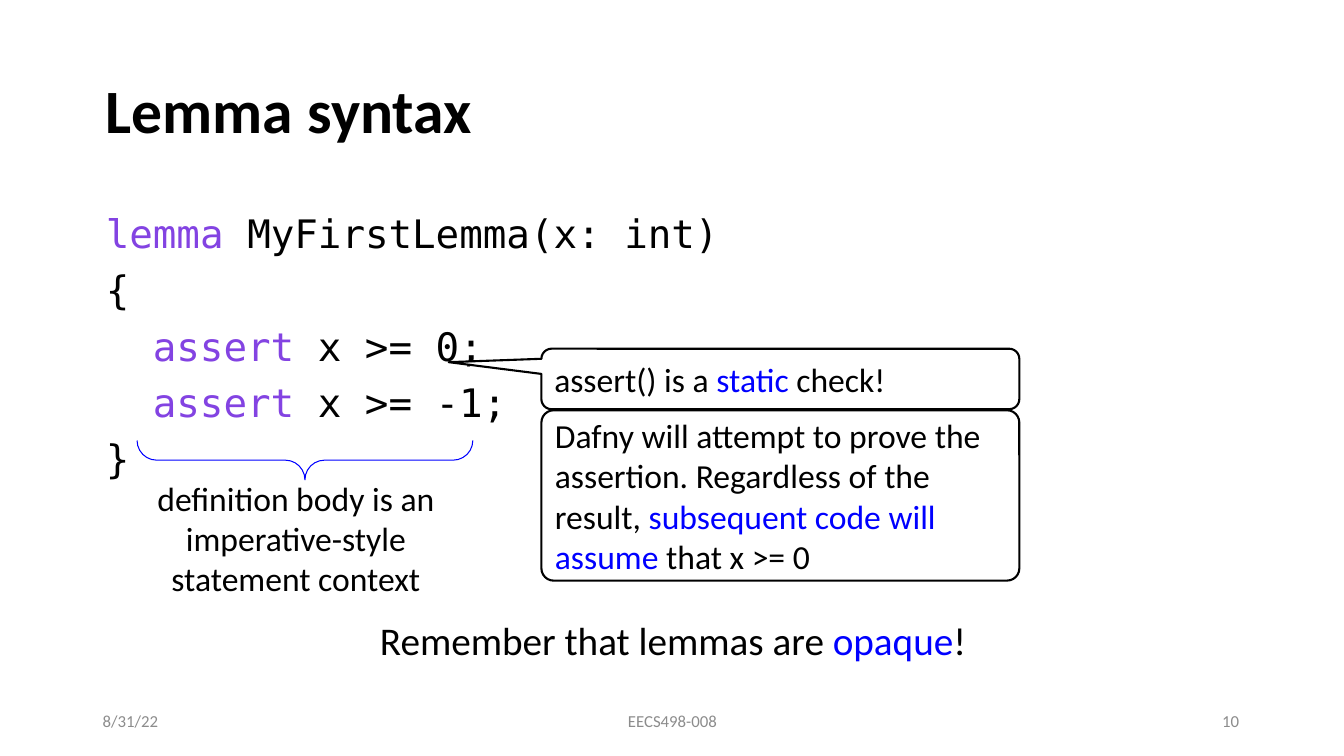
from pptx import Presentation, util as u
from pptx.dml.color import RGBColor
from pptx.enum import shapes, text
from pptx.oxml.xmlchemy import OxmlElement

BLACK, BLUE, PURPLE, GREY, WHITE = "000000", "0000FF", "8343E2", "8C8C8C", "FFFFFF"
SANS, MONO = "Calibri", "DejaVu Sans Mono"
LEFT, CENTER, RIGHT = text.PP_ALIGN.LEFT, text.PP_ALIGN.CENTER, text.PP_ALIGN.RIGHT
TOP, MIDDLE = text.MSO_ANCHOR.TOP, text.MSO_ANCHOR.MIDDLE
WIDE, NARROW = (0.13, 0.13), (0.1, 0.05)

deck = Presentation()
deck.slide_width, deck.slide_height = u.Inches(13.33), u.Inches(7.5)
slide = deck.slides.add_slide(deck.slide_layouts[6])
margin, content_width = 0.92, 11.5


def color(hex_string):
    """Return the colour for a hex string."""
    return RGBColor.from_string(hex_string)


def write(holder, lines, size, font=SANS, align=LEFT, anchor=MIDDLE,
          insets=NARROW, bold=False, wrap=True):
    """Fill a shape with lines of (words, colour) runs and return its paragraphs."""
    frame = holder.text_frame
    frame.word_wrap, frame.vertical_anchor = wrap, anchor
    frame.margin_left = frame.margin_right = u.Inches(insets[0])
    frame.margin_top = frame.margin_bottom = u.Inches(insets[1])
    for number, line in enumerate(lines):
        paragraph = frame.add_paragraph() if number else frame.paragraphs[0]
        paragraph.alignment = align
        for words, hue in line:
            run = paragraph.add_run()
            run.text = words
            run.font.name, run.font.size, run.font.bold = font, u.Pt(size), bold
            run.font.color.rgb = color(hue)
    return frame.paragraphs


# Title
title = slide.shapes.add_textbox(*map(u.Inches, (margin, 0.4, content_width, 1.45)))
write(title, [[("Lemma syntax", BLACK)]], 44, insets=WIDE, bold=True)[0].line_spacing = 0.9

# Lemma code, with the body indented by two characters
code = slide.shapes.add_textbox(*map(u.Inches, (margin, 2, content_width, 4.76)))
code_lines = [
    (0, [("lemma ", PURPLE), ("MyFirstLemma(x: int)", BLACK)]),
    (0, [("{", BLACK)]),
    (2, [("assert ", PURPLE), ("x >= 0;", BLACK)]),
    (2, [("assert", PURPLE), (" x >= -1;", BLACK)]),
    (0, [("}", BLACK)]),
]
code_paragraphs = write(code, [runs for _, runs in code_lines], 28, MONO,
                        anchor=TOP, insets=WIDE)
for paragraph, (indent, _) in zip(code_paragraphs, code_lines):
    paragraph.line_spacing, paragraph.space_before = 0.9, u.Pt(10)
    properties = paragraph._p.get_or_add_pPr()
    properties.set("marL", str(u.Pt(28 * 0.6 * indent)))
    properties.set("indent", "0")

# Footer
for left, width, words, align, insets in [
    (margin, 3, "8/31/22", LEFT, NARROW),
    (4.42, 4.5, "EECS498-008", CENTER, NARROW),
    (margin + content_width - 3, 3, "10", RIGHT, WIDE),
]:
    footer = slide.shapes.add_textbox(*map(u.Inches, (left, 6.95, width, 0.4)))
    write(footer, [[(words, GREY)]], 12, align=align, insets=insets)

# Remarks on assert, stacked in one column
for kind, top, height, adjustments, runs in [
    (shapes.MSO_SHAPE.ROUNDED_RECTANGULAR_CALLOUT, 3.46, 0.6, (-0.694, -0.277, 0.167),
     [("assert() is a ", BLACK), ("static ", BLUE), ("check!", BLACK)]),
    (shapes.MSO_SHAPE.ROUNDED_RECTANGLE, 4.07, 1.69, (0.072,),
     [("Dafny will attempt to prove the assertion. Regardless of the result, ", BLACK),
      ("subsequent code will assume ", BLUE), ("that x >= 0", BLACK)]),
]:
    remark = slide.shapes.add_shape(kind, *map(u.Inches, (5.37, top, 4.74, height)))
    remark.shadow.inherit = False
    for position, value in enumerate(adjustments):
        remark.adjustments[position] = value
    remark.fill.solid()
    remark.fill.fore_color.rgb = color(WHITE)
    remark.line.color.rgb, remark.line.width = color(BLACK), u.Pt(1.5)
    write(remark, [runs], 24)
    if kind == shapes.MSO_SHAPE.ROUNDED_RECTANGULAR_CALLOUT:
        alpha = OxmlElement("a:alpha")
        alpha.set("val", "91000")
        remark.fill._xPr.solidFill.srgbClr.append(alpha)

# Brace under the lemma body
brace = slide.shapes.add_shape(shapes.MSO_SHAPE.LEFT_BRACE,
                               *map(u.Inches, (2.83, 2.9, 0.39, 3.33)))
brace.rotation = 270
brace.shadow.inherit = False
brace.adjustments[0] = brace.adjustments[1] = 0.5
brace.fill.background()
brace.line.color.rgb, brace.line.width = color(BLUE), u.Pt(0.75)

body_note = slide.shapes.add_textbox(*map(u.Inches, (1.07, 4.61, 3.73, 1.46)))
write(body_note, [[("definition body is an imperative-style statement context", BLACK)]],
      24, align=CENTER, anchor=TOP, insets=WIDE)

# Closing reminder
reminder = slide.shapes.add_textbox(*map(u.Inches, (3.67, 6.07, 6.08, 0.57)))
write(reminder, [[("Remember that lemmas are ", BLACK), ("opaque", BLUE), ("!", BLACK)]],
      28, anchor=TOP, wrap=False)
reminder.text_frame.auto_size = text.MSO_AUTO_SIZE.SHAPE_TO_FIT_TEXT

deck.save("out.pptx")
